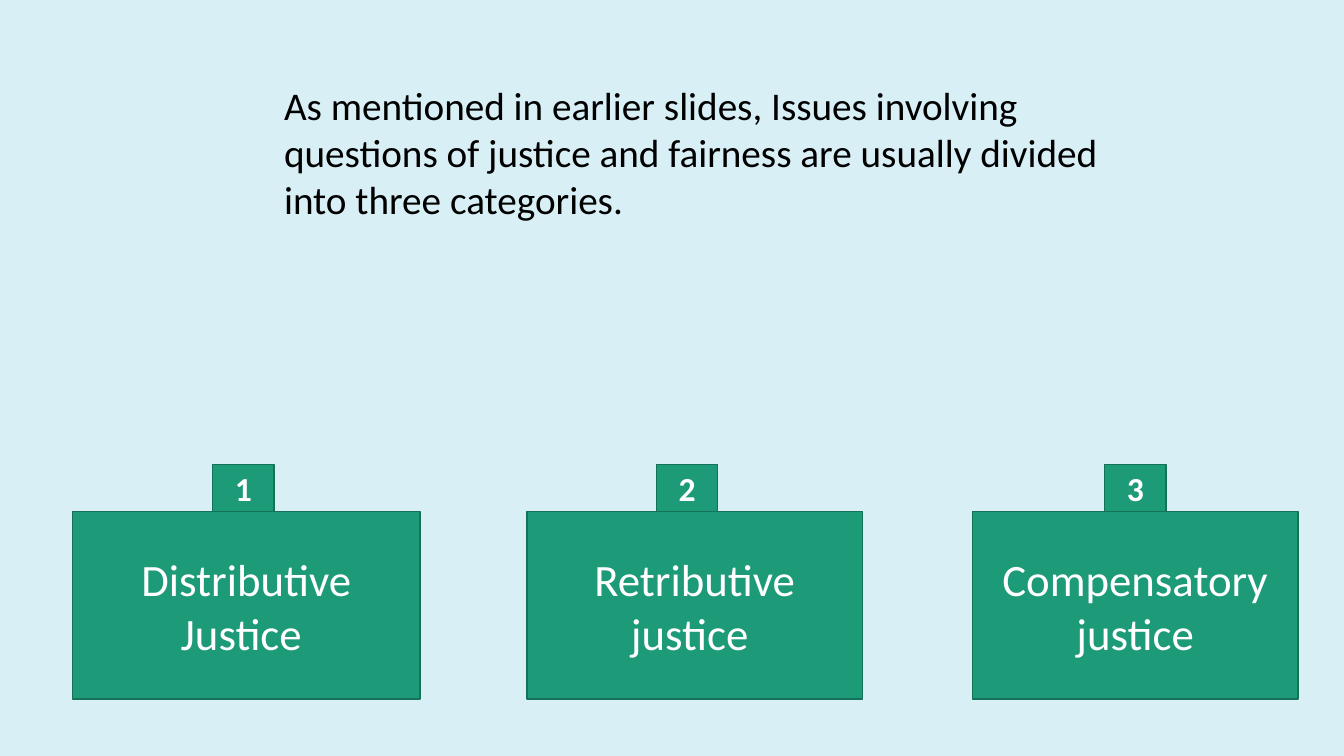
import pptx
import pptx.dml.color
import pptx.enum.shapes
import pptx.enum.text
import pptx.util

Cm = pptx.util.Cm
Align = pptx.enum.text.PP_ALIGN
Anchor = pptx.enum.text.MSO_ANCHOR

COLOURS = {
    "background": "D7EFF5",
    "green": "1D9A78",
    "outline": "157259",
    "black": "000000",
    "white": "FFFFFF",
}

INTRODUCTION = (
    "As mentioned in earlier slides, Issues involving questions of justice "
    "and fairness are usually divided into three categories."
)

# Label, card left, card width, number left (cm)
CATEGORIES = [
    ("Distributive Justice ", 1.83, 8.76, 5.36),
    ("Retributive justice ", 13.28, 8.46, 16.54),
    ("Compensatory justice", 24.51, 8.2, 27.84),
]
CARD_TOP, CARD_HEIGHT = 12.89, 4.73
NUMBER_TOP, NUMBER_WIDTH, NUMBER_HEIGHT = 11.7, 1.55, 1.19


def colour(name):
    return pptx.dml.color.RGBColor.from_string(COLOURS[name])


def write_text(box, text, size=28, ink="black", bold=False,
               align=Align.LEFT, anchor=Anchor.TOP):
    frame = box.text_frame
    frame.word_wrap = True
    frame.vertical_anchor = anchor
    para = frame.paragraphs[0]
    para.alignment = align
    span = para.add_run()
    span.text = text
    span.font.name = "Calibri"
    span.font.size = pptx.util.Pt(size)
    span.font.bold = bold
    span.font.color.rgb = colour(ink)


def add_block(page, left, top, width, height, text, **text_format):
    box = page.shapes.add_shape(
        pptx.enum.shapes.MSO_SHAPE.RECTANGLE,
        Cm(left), Cm(top), Cm(width), Cm(height))
    box.shadow.inherit = False
    box.fill.solid()
    box.fill.fore_color.rgb = colour("green")
    box.line.color.rgb = colour("outline")
    box.line.width = pptx.util.Pt(1)
    write_text(box, text, ink="white", align=Align.CENTER,
               anchor=Anchor.MIDDLE, **text_format)


def main():
    deck = pptx.Presentation()
    deck.slide_width, deck.slide_height = Cm(33.87), Cm(19.05)
    page = deck.slides.add_slide(deck.slide_layouts[6])
    page.background.fill.solid()
    page.background.fill.fore_color.rgb = colour("background")

    # Introduction
    box = page.shapes.add_textbox(Cm(6.91), Cm(1.93), Cm(21.18), Cm(3.84))
    write_text(box, INTRODUCTION)

    # Category cards with their numbers on top
    for number, (label, left, width, number_left) in enumerate(CATEGORIES, 1):
        add_block(page, left, CARD_TOP, width, CARD_HEIGHT, label, size=32)
        add_block(page, number_left, NUMBER_TOP, NUMBER_WIDTH, NUMBER_HEIGHT,
                  str(number), size=24, bold=True)

    deck.save("out.pptx")


if __name__ == "__main__":
    main()
